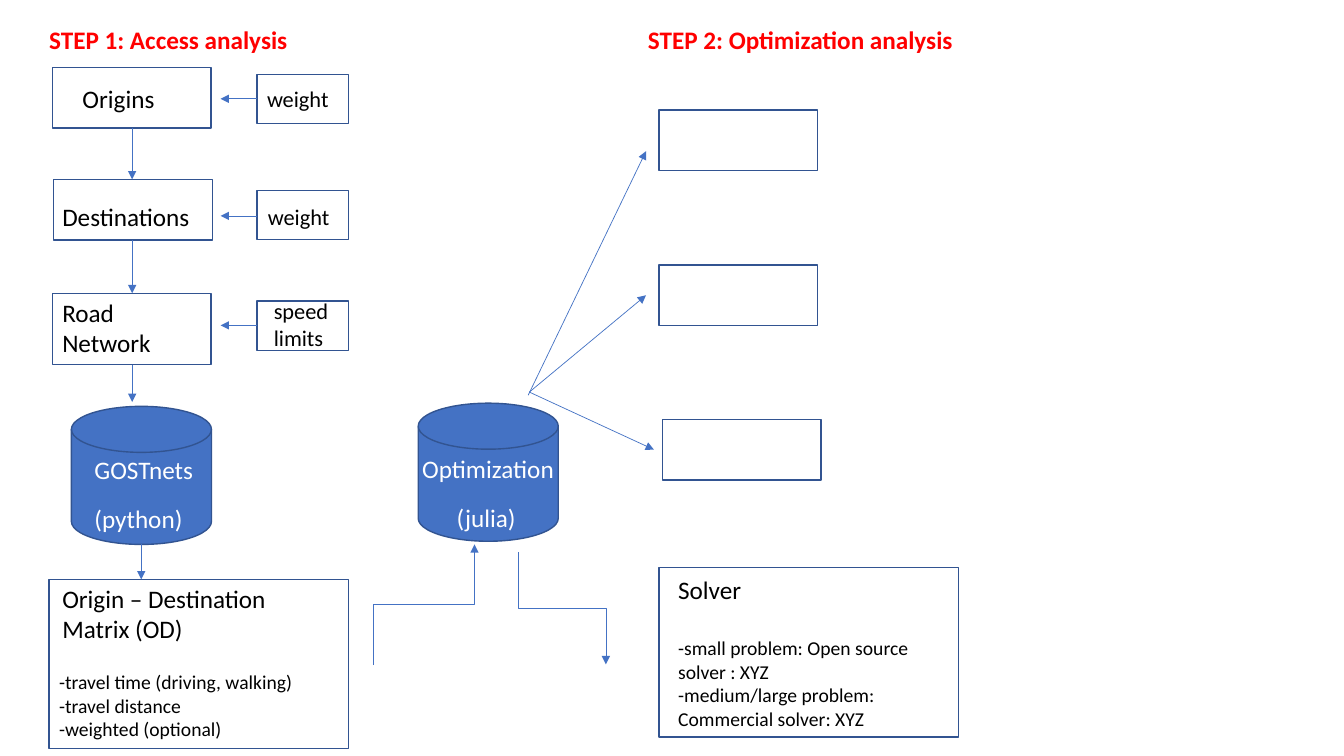
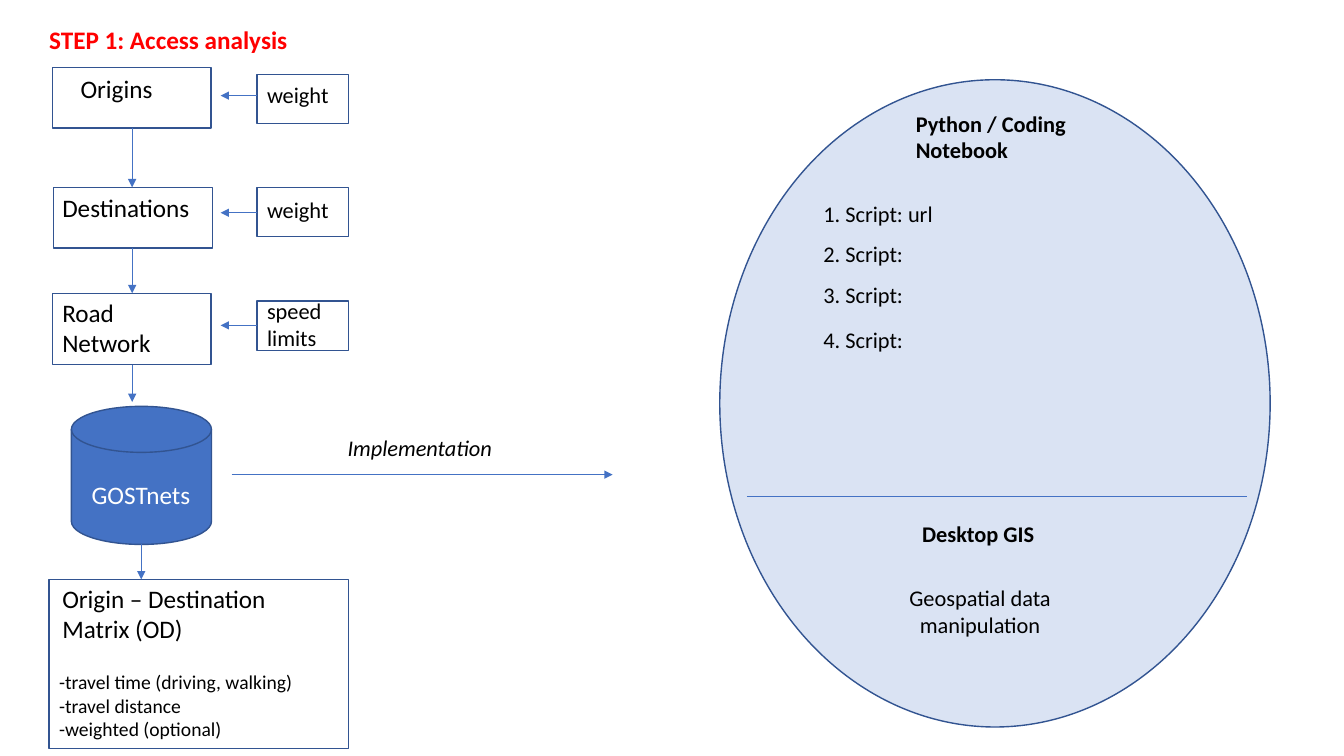
"""Build two slides on access analysis and optimization."""
from lxml.etree import SubElement
from pptx import Presentation
from pptx.dml.color import RGBColor
from pptx.enum.shapes import MSO_CONNECTOR as Link, MSO_SHAPE as Shape
from pptx.enum.text import MSO_AUTO_SIZE as Fit, PP_ALIGN as Align
from pptx.oxml.ns import qn
from pptx.util import Cm, Pt

BLACK = RGBColor(0x00, 0x00, 0x00)
WHITE = RGBColor(0xFF, 0xFF, 0xFF)
RED = RGBColor(0xFF, 0x00, 0x00)
BLUE = RGBColor(0x44, 0x72, 0xC4)
NAVY = RGBColor(0x32, 0x54, 0x91)
PALE = RGBColor(0xDA, 0xE3, 0xF3)

FONT = "Calibri"
BODY, LABEL, SMALL = 18, 16, 14
STEP_W, STEP_H = 4, 1.53
SIDE_X, SIDE_W, SIDE_H = 6.48, 2.31, 1.24
PANEL_W, PANEL_H = 7.54, 4.27
DISK_W, DISK_H = 3.53, 3.48


class Page:
    def __init__(self, prs):
        self.s = prs.slides.add_slide(prs.slide_layouts[6])

    def shape(self, x, y, w, h, kind=Shape.RECTANGLE, fill=None):
        sp = self.s.shapes.add_shape(kind, Cm(x), Cm(y), Cm(w), Cm(h))
        sp.shadow.inherit = False
        if fill is None:
            sp.fill.background()
        else:
            sp.fill.solid()
            sp.fill.fore_color.rgb = fill
        sp.line.color.rgb = NAVY
        sp.line.width = Pt(1)

    def disk(self, x, y):
        self.shape(x, y, DISK_W, DISK_H, Shape.FLOWCHART_MAGNETIC_DISK, BLUE)

    def text(self, x, y, w, h, *lines, size=BODY, color=BLACK, bold=False,
             italic=False, align=Align.LEFT, gap=0, indent=0):
        tf = self.s.shapes.add_textbox(Cm(x), Cm(y), Cm(w), Cm(h)).text_frame
        tf.word_wrap = True
        tf.auto_size = Fit.SHAPE_TO_FIT_TEXT
        for i, line in enumerate(lines):
            p = tf.paragraphs[0] if i == 0 else tf.add_paragraph()
            p.alignment = align
            if i:
                p.space_before = Pt(gap)
                p._p.get_or_add_pPr().set("marL", str(Cm(indent)))
            r = p.add_run()
            r.text = line
            r.font.name = FONT
            r.font.size = Pt(size)
            r.font.color.rgb = color
            r.font.bold = bold
            r.font.italic = italic

    def title(self, x, line):
        self.text(x, 0.48, 9.09, 1.02, line, color=RED, bold=True)

    def line(self, x1, y1, x2, y2, kind=Link.STRAIGHT, head=True):
        ends = [Cm(v) for v in (x1, y1, x2, y2)]
        c = self.s.shapes.add_connector(kind, *ends)
        c.line.color.rgb = BLUE
        c.line.width = Pt(0.5)
        props = c._element.spPr
        if head:
            SubElement(props.find(qn("a:ln")), qn("a:tailEnd"), type="triangle")
        SubElement(props, qn("a:effectLst"))
        return c

    def elbow(self, x1, y1, x2, y2):
        cx, cy = (x1 + x2) / 2, (y1 + y2) / 2
        c = self.line(cx + y1 - cy, cy - x1 + cx, cx + y2 - cy, cy - x2 + cx, Link.ELBOW)
        c._element.spPr.find(qn("a:xfrm")).set("rot", str(90 * 60000))


def access_flow(page, dest_y, origins_at, dest_text_y, sides):
    page.title(0.99, "STEP 1: Access analysis")
    road_y, road_h, disk_y, panel_y = 7.39, 1.8, 10.24, 14.6
    page.shape(1.32, 1.7, STEP_W, STEP_H)
    page.shape(1.35, dest_y, STEP_W, STEP_H)
    page.shape(1.32, road_y, STEP_W, road_h)
    page.disk(1.8, disk_y)
    page.shape(1.24, panel_y, PANEL_W, PANEL_H)

    page.text(*origins_at, 2.92, 1.02, "Origins")
    page.text(1.32, dest_text_y, STEP_W, 1.02, "Destinations")
    page.text(1.32, 7.37, STEP_W, road_h, "Road Network")
    page.text(1.32, 14.58, 6.22, 1.8, "Origin – Destination Matrix (OD)")
    page.text(1.24, 16.76, 6.4, 2.06, "-travel time (driving, walking)",
              "-travel distance", "-weighted (optional)", size=SMALL)

    for x, top, bottom in [(3.33, 3.23, dest_y), (3.33, dest_y + STEP_H, road_y),
                           (3.33, road_y + road_h, 10.13),
                           (3.56, disk_y + DISK_H, panel_y)]:
        page.line(x, top, x, bottom)
    for label, box_y, text_x, text_y, arrow_y in sides:
        page.shape(SIDE_X, box_y, SIDE_W, SIDE_H)
        page.text(text_x, text_y, 2.92, 0.94, label, size=LABEL)
        page.line(SIDE_X, arrow_y, 5.56, arrow_y)


def optimization_slide(prs):
    page = Page(prs)
    access_flow(page, 4.52, (1.83, 1.98), 4.95,
                [("weight", 1.88, 6.48, 2.03, 2.49),
                 ("weight", 4.8, 6.5, 5, 5.44),
                 ("speed limits", 7.59, 6.65, 7.37, 8.2)])
    page.text(2.13, 11.33, 3.53, 2.26, "GOSTnets", "(python)", color=WHITE, gap=13.4)

    page.title(16.08, "STEP 2: Optimization analysis")
    page.disk(10.54, 10.16)
    page.text(10.39, 11.3, 3.84, 2.26, "Optimization", "(julia)",
              color=WHITE, gap=13.4, indent=0.87)
    page.elbow(9.4, 16.76, 11.96, 13.72)
    page.elbow(13.06, 13.92, 15.27, 16.74)

    for x, y in [(16.61, 2.77), (16.61, 6.68), (16.69, 10.57)]:
        page.shape(x, y, STEP_W, STEP_H)
    for ray in [(13.31, 9.96, 16.28, 3.81), (13.34, 9.88, 16.28, 7.44),
                (13.34, 9.88, 16.48, 11.33)]:
        page.line(*ray)

    page.shape(16.61, 14.3, PANEL_W, PANEL_H)
    page.text(16.84, 14.35, 6.22, 1.02, "Solver")
    page.text(16.84, 15.9, 6.4, 2.64, "-small problem: Open source solver : XYZ",
              "-medium/large problem: Commercial solver: XYZ", size=SMALL)


def implementation_slide(prs):
    page = Page(prs)
    access_flow(page, 4.72, (1.78, 1.73), 4.72,
                [("weight", 1.88, 6.48, 1.93, 2.41),
                 ("weight", 4.72, 6.48, 4.83, 5.36),
                 ("speed limits", 7.59, 6.48, 7.37, 8.2)])
    page.text(2.06, 11.96, 3.53, 1.02, "GOSTnets", color=WHITE)

    page.line(5.84, 11.96, 15.44, 11.96)
    page.text(8.51, 10.82, 5.16, 0.94, "Implementation", size=LABEL, italic=True)

    page.shape(18.14, 2.01, 13.87, 16.31, Shape.OVAL, PALE)
    page.text(22.83, 2.64, 4.57, 1.63, "Python / Coding Notebook", size=LABEL, bold=True)
    scripts = [("1. Script: url", 4.93), ("2. Script:", 5.92),
               ("3. Script:", 6.96), ("4. Script:", 8.1)]
    for script, y in scripts:
        page.text(20.5, y, 7.04, 0.94, script, size=LABEL)
    page.line(18.82, 12.5, 31.42, 12.5, head=False)
    page.text(22.99, 12.98, 4.57, 0.94, "Desktop GIS", size=LABEL, bold=True)
    page.text(21.84, 14.6, 5.72, 1.63, "Geospatial data manipulation",
              size=LABEL, align=Align.CENTER)


def main():
    prs = Presentation()
    prs.slide_width, prs.slide_height = Cm(33.87), Cm(19.05)
    optimization_slide(prs)
    implementation_slide(prs)
    prs.save("out.pptx")


if __name__ == "__main__":
    main()
